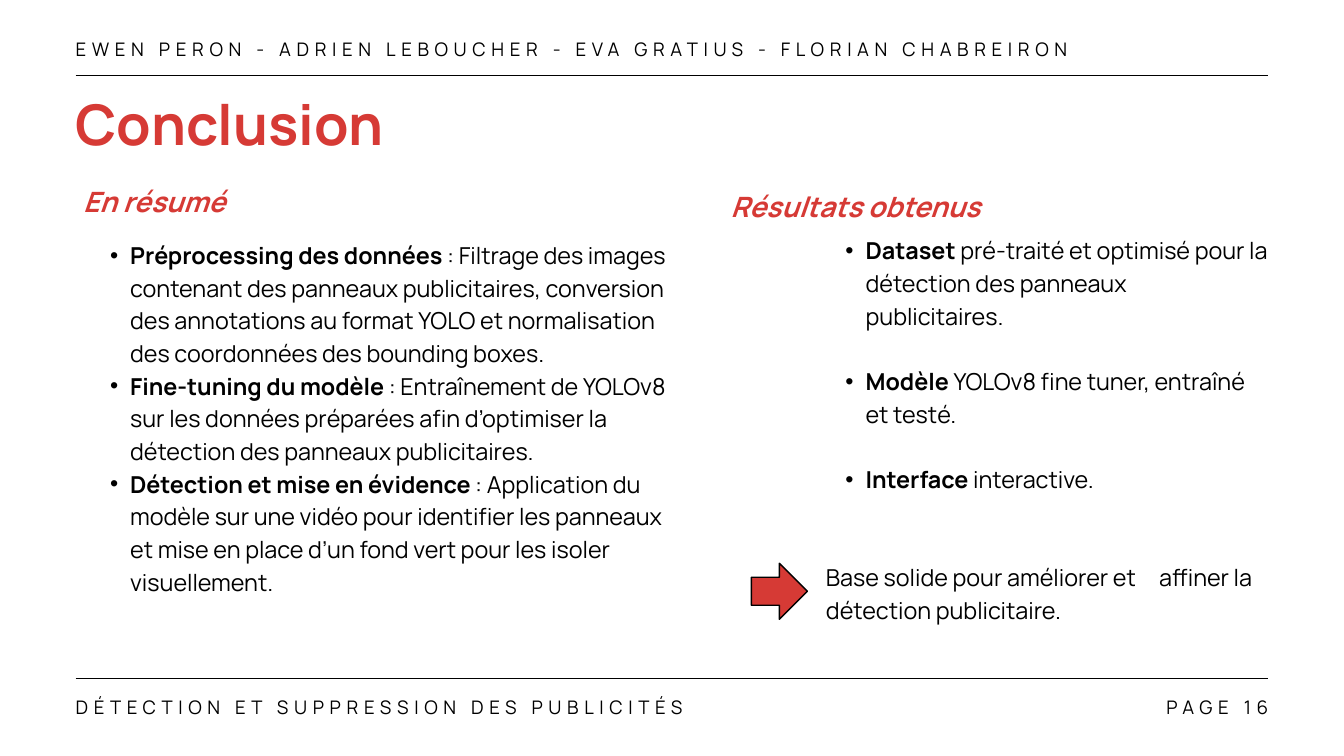
from lxml import etree
from pptx import Presentation
from pptx import util as u
from pptx.dml.color import RGBColor
from pptx.enum import shapes, text
from pptx.oxml import ns

RED = RGBColor(0xD6, 0x3A, 0x35)
BLACK = RGBColor(0, 0, 0)
FONT = "Manrope"
LEFT, RIGHT = 81, 1359
WIDE = RIGHT - LEFT
ALIGN = text.PP_ALIGN

STEPS = [
    ("Préprocessing des données", " : Filtrage des images contenant des panneaux publicitaires, conversion "
     "des annotations au format YOLO et normalisation des coordonnées des bounding boxes."),
    ("Fine-tuning du modèle", " : Entraînement de YOLOv8 sur les données préparées afin d’optimiser "
     "la détection des panneaux publicitaires."),
    ("Détection et mise en évidence", " : Application du modèle sur une vidéo pour identifier les panneaux "
     "et mise en place d’un fond vert pour les isoler visuellement."),
]
GAINS = [
    ("Dataset", " pré-traité et optimisé pour la détection des panneaux publicitaires."),
    ("Modèle", " YOLOv8 fine tuner, entraîné et testé."),
    ("Interface", " interactive."),
]
GOAL = "Base solide pour améliorer et\taffiner la détection publicitaire."


def write(para, words, size=25, color=BLACK, bold=False, italic=False, space=0, align=ALIGN.LEFT):
    para.alignment = align
    para.line_spacing = u.Pt(size * 1.4)
    run = para.add_run()
    run.text = words
    font = run.font
    font.name, font.size = FONT, u.Pt(size)
    font.bold, font.italic = bold, italic
    font.color.rgb = color
    if space:
        run._r.get_or_add_rPr().set("spc", str(space * 100))


def setup(shape, x, y, w, h):
    shape.left, shape.top, shape.width, shape.height = map(u.Pt, (x, y, w, h))
    frame = shape.text_frame
    frame.word_wrap = True
    frame.auto_size = text.MSO_AUTO_SIZE.NONE
    frame.vertical_anchor = text.MSO_ANCHOR.TOP
    frame.margin_left = frame.margin_right = frame.margin_top = frame.margin_bottom = 0
    return frame


def box(slide, x, y, w, h):
    return setup(slide.shapes.add_textbox(0, 0, 0, 0), x, y, w, h)


def label(slide, words, x, y, w, h, **style):
    write(box(slide, x, y, w, h).paragraphs[0], words, **style)


def bullet(para):
    props = para._p.get_or_add_pPr()
    props.set("marL", str(u.Pt(42.5)))
    props.set("indent", str(u.Pt(-21.6)))
    etree.SubElement(props, ns.qn("a:buFont")).set("typeface", "Arial")
    etree.SubElement(props, ns.qn("a:buChar")).set("char", "•")


def points(frame, items, gap=0):
    for i, (head, rest) in enumerate(items):
        para = frame.add_paragraph() if i else frame.paragraphs[0]
        bullet(para)
        if i and gap:
            para.space_before = u.Pt(gap)
        write(para, head, bold=True)
        write(para, rest)


def goal(frame):
    para = frame.add_paragraph()
    tabs = etree.SubElement(para._p.get_or_add_pPr(), ns.qn("a:tabLst"))
    etree.SubElement(tabs, ns.qn("a:tab"), pos=str(u.Pt(357)), algn="l")
    para.space_before = u.Pt(70)
    write(para, GOAL)


def rule(slide, y):
    line = slide.shapes.add_connector(
        shapes.MSO_CONNECTOR.STRAIGHT, u.Pt(LEFT), u.Pt(y), u.Pt(RIGHT), u.Pt(y))
    line.line.color.rgb = BLACK
    line.line.width = u.Pt(1.5)
    etree.SubElement(line._element.spPr, ns.qn("a:effectLst"))


def arrow(slide, x, y, side):
    shape = slide.shapes.add_shape(
        shapes.MSO_SHAPE.RIGHT_ARROW, u.Pt(x), u.Pt(y), u.Pt(side), u.Pt(side))
    shape.shadow.inherit = False
    shape.fill.solid()
    shape.fill.fore_color.rgb = RED
    shape.line.color.rgb = BLACK
    shape.line.width = u.Pt(1.5)


def main():
    deck = Presentation()
    deck.slide_width, deck.slide_height = u.Pt(1440), u.Pt(810)
    slide = deck.slides.add_slide(deck.slide_layouts[5])

    title = setup(slide.shapes.title, LEFT, 83.5, WIDE, 86)
    write(title.paragraphs[0], "Conclusion", size=60, color=RED, bold=True)

    for y in (81, 727):
        rule(slide, y)
    edge = dict(size=20, space=6)
    label(slide, "EWEN PERON - ADRIEN LEBOUCHER - EVA GRATIUS - FLORIAN CHABREIRON",
          LEFT, 36, 1155, 29, **edge)
    label(slide, "DÉTECTION ET SUPPRESSION DES PUBLICITÉS", LEFT, 741, 1032, 29, **edge)
    label(slide, "PAGE 16", 1126, 741, 233, 29, align=ALIGN.RIGHT, **edge)

    head = dict(size=30, color=RED, bold=True, italic=True, align=ALIGN.CENTER)
    label(slide, "En résumé", LEFT, 192, 168.5, 41, **head)
    label(slide, "Résultats obtenus", 777, 197, 279, 41, **head)

    points(box(slide, 97, 253.5, 623, 449), STEPS)
    gains = box(slide, 885, 248.5, 474, 414)
    points(gains, GAINS, gap=35)
    goal(gains)
    arrow(slide, 805, 603.5, 60)

    deck.save("out.pptx")


if __name__ == "__main__":
    main()
